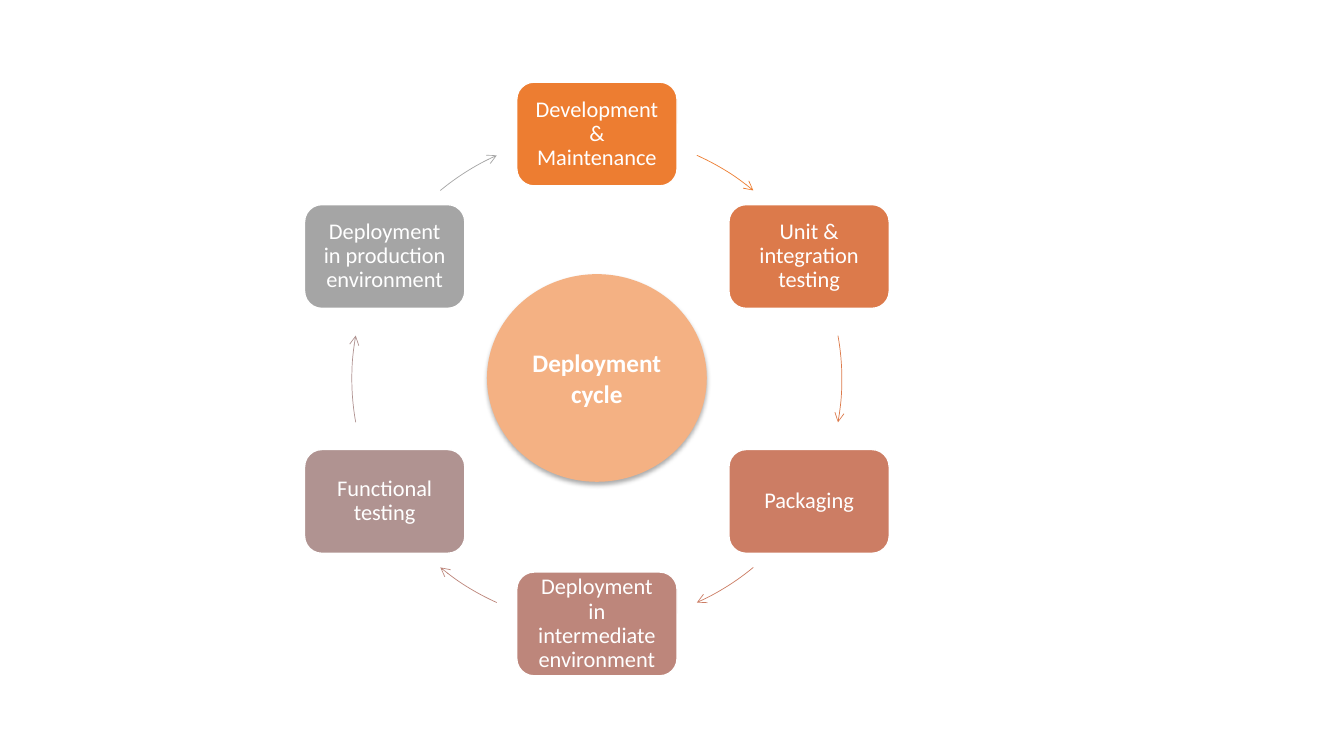
from math import cos, radians, sin

from lxml.etree import SubElement
from pptx import Presentation
from pptx.dml.color import RGBColor
from pptx.enum.shapes import MSO_SHAPE
from pptx.enum.text import MSO_ANCHOR, PP_ALIGN
from pptx.oxml.ns import qn
from pptx.util import Inches, Pt

COLORS = {
    "white": "FFFFFF",
    "hub": "F4B183",
    "shadow": "000000",
    "development": "ED7D31",
    "testing": "DC7A4B",
    "packaging": "CC7D64",
    "intermediate": "BD867B",
    "functional": "B09391",
    "production": "A5A5A5",
}
STEPS = [
    ("Development & Maintenance", "development"),
    ("Unit & integration testing", "testing"),
    ("Packaging", "packaging"),
    ("Deployment in intermediate environment", "intermediate"),
    ("Functional testing", "functional"),
    ("Deployment in production environment", "production"),
]
# Arrow start and end in degrees clockwise from the top, repeated every half turn
ARROW_SPANS = [(24.1, 39.7), (79.8, 100.2), (140.3, 155.9)]
CENTER_X, CENTER_Y, RADIUS = 5.92, 3.76, 2.43
BOX_WIDTH, BOX_HEIGHT = 1.59, 1.03
HUB_WIDTH, HUB_HEIGHT = 2.18, 2.06


def rgb(name):
    return RGBColor.from_string(COLORS[name])


def add_centered_shape(slide, kind, x, y, width, height):
    shape = slide.shapes.add_shape(
        kind, Inches(x - width / 2), Inches(y - height / 2), Inches(width), Inches(height)
    )
    shape.shadow.inherit = False
    return shape


def set_text(shape, text, size, bold=False):
    frame = shape.text_frame
    frame.word_wrap = True
    frame.vertical_anchor = MSO_ANCHOR.MIDDLE
    paragraph = frame.paragraphs[0]
    paragraph.text = text
    paragraph.alignment = PP_ALIGN.CENTER
    font = paragraph.font
    font.name, font.size, font.bold = "Calibri", Pt(size), bold
    font.color.rgb = rgb("white")
    return frame


def add_step(slide, index, text, color):
    angle = radians(60 * index)
    x, y = CENTER_X + RADIUS * sin(angle), CENTER_Y - RADIUS * cos(angle)
    box = add_centered_shape(slide, MSO_SHAPE.ROUNDED_RECTANGLE, x, y, BOX_WIDTH, BOX_HEIGHT)
    box.fill.solid()
    box.fill.fore_color.rgb = rgb(color)
    box.line.color.rgb = rgb("white")
    box.line.width = Pt(1)
    frame = set_text(box, text, 16)
    frame.margin_left = frame.margin_right = Inches(0.12)
    frame.margin_top = frame.margin_bottom = Inches(0.12)
    frame.paragraphs[0].line_spacing = 0.9


def add_arc_arrow(slide, index, color):
    half_turn, position = divmod(index, len(ARROW_SPANS))
    arc = add_centered_shape(slide, MSO_SHAPE.ARC, CENTER_X, CENTER_Y, 2 * RADIUS, 2 * RADIUS)
    for number, angle in enumerate(ARROW_SPANS[position]):
        # Arc angles start at three o'clock; one degree is 0.6 adjustment units
        arc.adjustments[number] = (angle + 180 * half_turn - 90) % 360 * 0.6
    arc.fill.background()
    arc.line.color.rgb = rgb(color)
    arc.line.width = Pt(0.5)
    SubElement(arc.line._get_or_add_ln(), qn("a:tailEnd"), type="arrow")


def add_shadow(shape):
    effects = shape._element.spPr.find(qn("a:effectLst"))
    shadow = SubElement(
        effects, qn("a:outerShdw"), blurRad=str(Pt(3.5)), dist=str(Pt(2.2)),
        dir="5400000", rotWithShape="0",
    )
    color = SubElement(shadow, qn("a:srgbClr"), val=COLORS["shadow"])
    SubElement(color, qn("a:alpha"), val="32000")


def add_hub(slide):
    hub = add_centered_shape(slide, MSO_SHAPE.OVAL, CENTER_X, CENTER_Y - 0.01, HUB_WIDTH, HUB_HEIGHT)
    hub.fill.solid()
    hub.fill.fore_color.rgb = rgb("hub")
    hub.line.fill.background()
    add_shadow(hub)
    set_text(hub, "Deployment cycle", 18, bold=True)


def main():
    presentation = Presentation()
    presentation.slide_width = Inches(13.33)
    presentation.slide_height = Inches(7.5)
    slide = presentation.slides.add_slide(presentation.slide_layouts[6])

    # Ring of steps, each followed by an arrow to the next
    for index, (text, color) in enumerate(STEPS):
        add_step(slide, index, text, color)
        add_arc_arrow(slide, index, color)

    # Circle in the middle
    add_hub(slide)
    presentation.save("out.pptx")


main()
